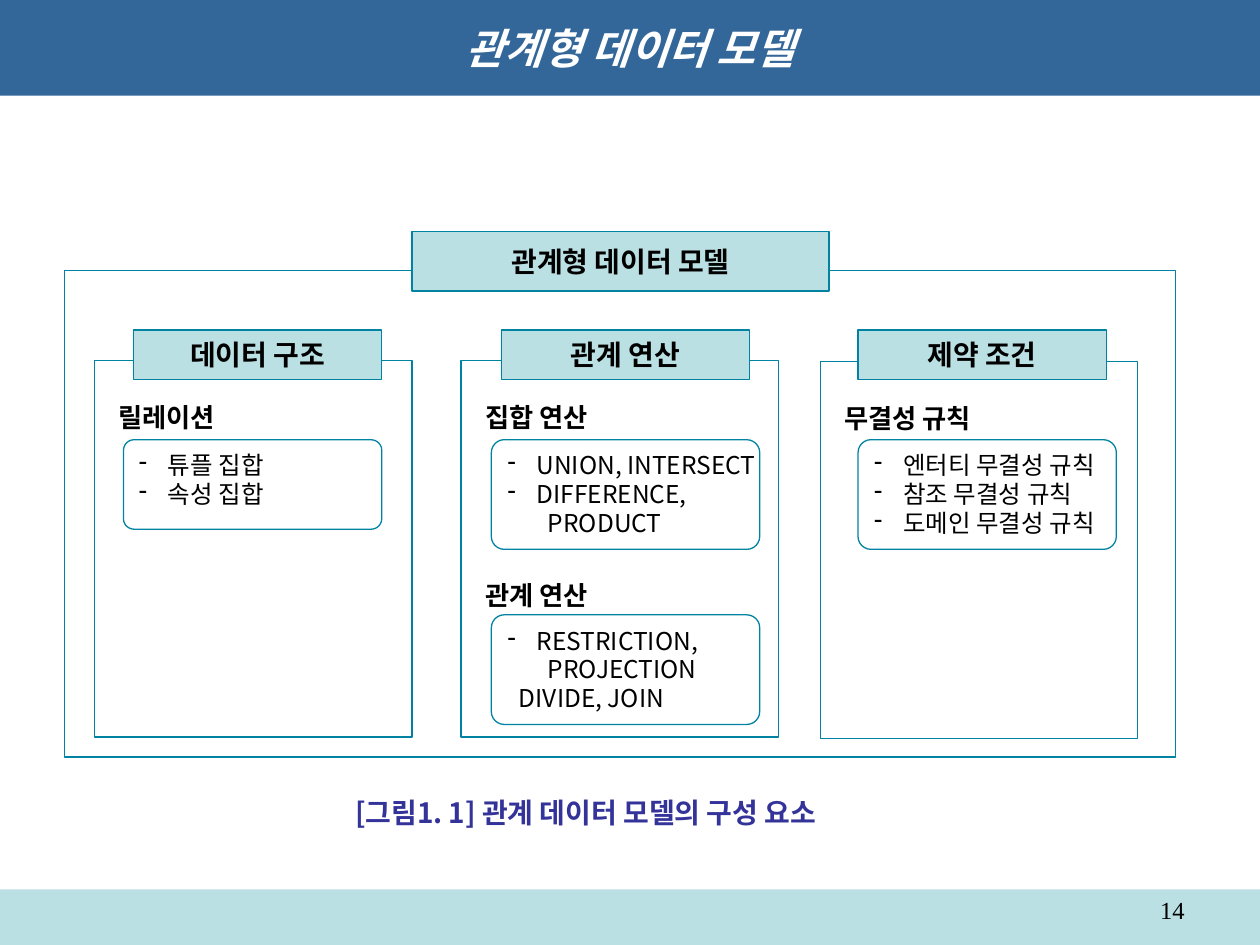
from dataclasses import dataclass

from lxml import etree
from pptx import Presentation
from pptx import util as u
from pptx.dml.color import RGBColor
from pptx.enum import shapes, text
from pptx.oxml.ns import qn


@dataclass(frozen=True)
class Theme:
    korean: str = "Noto Sans CJK KR"
    title_font: str = "Noto Sans CJK JP"
    number_font: str = "Times New Roman"
    white: str = "FFFFFF"
    black: str = "000000"
    navy: str = "336699"
    pale: str = "BBE0E3"
    teal: str = "0083A2"
    indigo: str = "333399"
    title: int = 24
    label: int = 16
    heading: int = 15
    body: int = 14
    leading: float = 1.18


THEME = Theme()
RECT = shapes.MSO_SHAPE.RECTANGLE
ROUNDED = shapes.MSO_SHAPE.ROUNDED_RECTANGLE
CENTER = text.PP_ALIGN.CENTER
LEFT = text.PP_ALIGN.LEFT
HANG = 0.23


@dataclass(frozen=True)
class Box:
    left: float
    top: float
    width: float
    height: float

    def lengths(self):
        return [u.Inches(v) for v in (self.left, self.top, self.width, self.height)]


@dataclass(frozen=True)
class Item:
    text: str
    indent: float = HANG
    bullet: bool = True


@dataclass(frozen=True)
class Group:
    heading: str
    box: Box
    items: tuple[Item, ...]


@dataclass(frozen=True)
class Column:
    label: str
    panel: Box
    tab_left: float
    groups: tuple[Group, ...]


COLUMNS = (
    Column("데이터 구조", Box(0.75, 2.86, 2.52, 2.99), 1.06, (
        Group("릴레이션", Box(0.98, 3.49, 2.05, 0.71),
              (Item("튜플 집합"), Item("속성 집합"))),
    )),
    Column("관계 연산", Box(3.66, 2.86, 2.52, 2.99), 3.98, (
        Group("집합 연산", Box(3.9, 3.49, 2.13, 0.87),
              (Item("UNION, INTERSECT"), Item("DIFFERENCE,"),
               Item("PRODUCT", 0.32, False))),
        Group("관계 연산", Box(3.9, 4.88, 2.13, 0.87),
              (Item("RESTRICTION,"), Item("PROJECTION", 0.32, False),
               Item("DIVIDE, JOIN", 0.09, False))),
    )),
    Column("제약 조건", Box(6.51, 2.87, 2.52, 2.99), 6.81, (
        Group("무결성 규칙", Box(6.81, 3.49, 2.05, 0.87),
              (Item("엔터티 무결성 규칙"), Item("참조 무결성 규칙"),
               Item("도메인 무결성 규칙"))),
    )),
)


def color(value: str) -> RGBColor:
    return RGBColor.from_string(value)


def add_box(page, box: Box, fill: str, line: str | None = THEME.teal, kind=RECT):
    shape = page.shapes.add_shape(kind, *box.lengths())
    shape.shadow.inherit = False
    shape.fill.solid()
    shape.fill.fore_color.rgb = color(fill)
    if line:
        shape.line.color.rgb = color(line)
        shape.line.width = u.Pt(0.75)
    else:
        shape.line.fill.background()
    return shape


def write(frame, lines, size: int, align=LEFT, bold=False, tint=THEME.black,
          font=THEME.korean, italic=False) -> None:
    """Put one paragraph per line and format Latin and East Asian text alike."""
    for index, line in enumerate(lines):
        para = frame.paragraphs[0] if index == 0 else frame.add_paragraph()
        para.text = line
        para.alignment = align
        para.line_spacing = u.Pt(round(size * THEME.leading, 1))
        para.space_before = u.Pt(0)
        for span in para.runs:
            span.font.name = font
            span.font.size = u.Pt(size)
            span.font.bold = bold
            span.font.italic = italic
            span.font.color.rgb = color(tint)
            latin = span.font._element.find(qn("a:latin"))
            east_asian = etree.Element(qn("a:ea"), typeface=font)
            latin.addnext(east_asian)


def add_label(page, box: Box, label: str) -> None:
    frame = add_box(page, box, THEME.pale).text_frame
    frame.vertical_anchor = text.MSO_ANCHOR.MIDDLE
    write(frame, [label], THEME.label, CENTER, bold=True)


def indent(para, item: Item) -> None:
    """Set the left margin, with a hanging dash for bulleted items."""
    props = para._p.get_or_add_pPr()
    props.set("marL", str(u.Inches(item.indent)))
    props.set("indent", str(-u.Inches(HANG) if item.bullet else 0))
    if item.bullet:
        etree.SubElement(props, qn("a:buChar"), char="-")
    else:
        etree.SubElement(props, qn("a:buNone"))


def add_list(page, group: Group) -> None:
    shape = add_box(page, group.box, THEME.white, kind=ROUNDED)
    shape.adjustments[0] = 0.118
    frame = shape.text_frame
    frame.word_wrap = False
    frame.vertical_anchor = text.MSO_ANCHOR.TOP
    frame.margin_top = u.Inches(0.06)
    write(frame, [item.text for item in group.items], THEME.body)
    for para, item in zip(frame.paragraphs, group.items):
        indent(para, item)


def add_column(page, column: Column) -> None:
    frame = add_box(page, column.panel, THEME.white).text_frame
    frame.word_wrap = True
    frame.vertical_anchor = text.MSO_ANCHOR.TOP
    frame.margin_left = u.Inches(0.19)
    frame.margin_top = u.Inches(0.33)
    write(frame, [group.heading for group in column.groups], THEME.heading, bold=True)
    for para in frame.paragraphs[1:]:
        para.space_before = u.Pt(84)
    for group in column.groups:
        add_list(page, group)
    add_label(page, Box(column.tab_left, 2.62, 1.97, 0.39), column.label)


def add_title(page, title: str) -> None:
    shape = page.shapes.title
    shape.left, shape.top, shape.width, shape.height = Box(0, 0, 10, 0.76).lengths()
    shape.fill.solid()
    shape.fill.fore_color.rgb = color(THEME.navy)
    shape.text_frame.vertical_anchor = text.MSO_ANCHOR.MIDDLE
    write(shape.text_frame, [title], THEME.title, CENTER, bold=True,
          tint=THEME.white, font=THEME.title_font, italic=True)


def add_text(page, box: Box, content: str, size: int, **style) -> None:
    frame = page.shapes.add_textbox(*box.lengths()).text_frame
    frame.word_wrap = True
    write(frame, [content], size, **style)


def main() -> None:
    deck = Presentation()
    deck.slide_width, deck.slide_height = u.Inches(10), u.Inches(7.5)
    page = deck.slides.add_slide(deck.slide_layouts[5])
    add_box(page, Box(0, 7.06, 10, 0.44), THEME.pale, line=None)
    add_title(page, "관계형 데이터 모델")
    add_box(page, Box(0.51, 2.15, 8.82, 3.86), THEME.white)
    add_label(page, Box(3.27, 1.84, 3.31, 0.47), "관계형 데이터 모델")
    for column in COLUMNS:
        add_column(page, column)
    add_text(page, Box(2.72, 6.27, 4.46, 0.37), "[그림1. 1] 관계 데이터 모델의 구성 요소",
             THEME.label, align=text.PP_ALIGN.JUSTIFY, bold=True, tint=THEME.indigo)
    add_text(page, Box(7.17, 7.06, 2.33, 0.29), "14", THEME.body,
             align=text.PP_ALIGN.RIGHT, font=THEME.number_font)
    deck.save("out.pptx")


if __name__ == "__main__":
    main()
